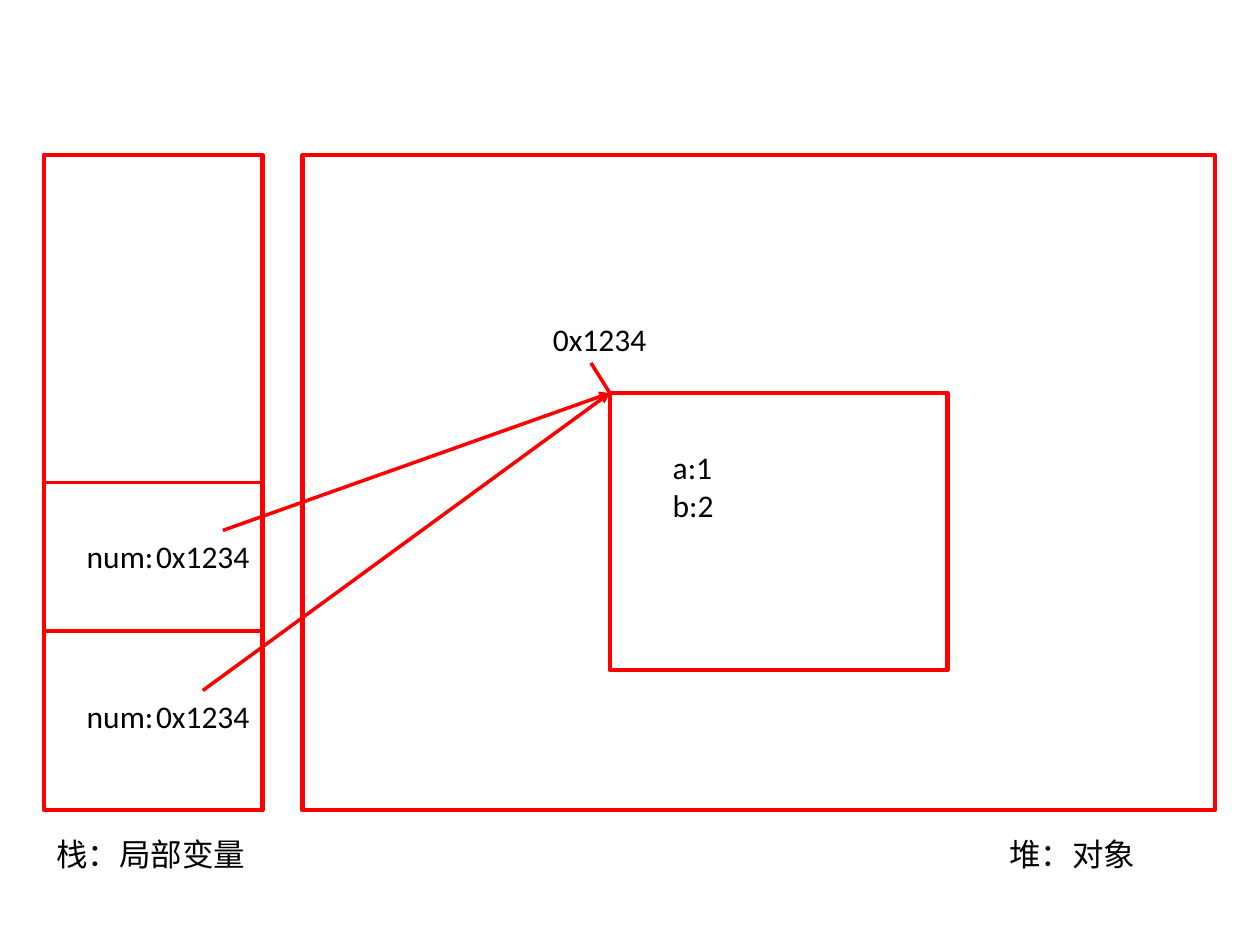
from lxml.etree import SubElement
from pptx import Presentation
from pptx.dml.color import RGBColor
from pptx.enum.shapes import MSO_CONNECTOR, MSO_SHAPE
from pptx.enum.text import MSO_AUTO_SIZE
from pptx.oxml.ns import qn
from pptx.util import Pt

RED = RGBColor(0xFF, 0x00, 0x00)
BLACK = RGBColor(0x00, 0x00, 0x00)

deck = Presentation()
deck.slide_width, deck.slide_height = Pt(720), Pt(540)
page = deck.slides.add_slide(deck.slide_layouts[6])

stack_left, stack_right = 25.2, 150.2
area_top, area_height = 88.6, 374.4
object_left, object_top = 348.5, 224.6
corner = (object_left, object_top)

frames = [
    (stack_left, area_top, 124.8, area_height),
    (172.8, area_top, 521.4, area_height),
    (object_left, object_top, 193, 158.4),
]
for frame in frames:
    box = page.shapes.add_shape(MSO_SHAPE.RECTANGLE, *map(Pt, frame))
    box.shadow.inherit = False
    box.fill.background()
    box.line.color.rgb = RED
    box.line.width = Pt(2.5)

lines = [
    ((stack_left, 275.8), (stack_right, 275.8), False),
    ((stack_left, 360.7), (stack_right, 360.7), False),
    (corner, (337.7, 207.4), False),
    ((127.4, 303.1), corner, True),
    ((115.9, 394.6), corner, True),
]
for start, end, has_arrow in lines:
    line = page.shapes.add_connector(MSO_CONNECTOR.STRAIGHT, *map(Pt, start + end))
    line.line.color.rgb = RED
    line.line.width = Pt(2)
    if has_arrow:
        SubElement(line.line._get_or_add_ln(), qn("a:tailEnd"), type="triangle")
    SubElement(line._element.spPr, qn("a:effectLst"))

labels = [
    ("栈：局部变量", 25.2, 473.8, 161.3, 29.1),
    ("堆：对象", 569.5, 473.8, 118.8, 29.1),
    ("a:1\nb:2", 377.3, 252.7, 130.3, 50.9),
    ("0x1234", 308.9, 179.3, 90.7, 29.1),
]
for top in (303.4, 394.6):
    labels.append(("num:", 42.5, top, 90.7, 29.1))
    labels.append(("0x1234", 82.1, top, 90.7, 29.1))

font_format = {"name": "Calibri", "size": Pt(18)}
for text, *place in labels:
    box = page.shapes.add_textbox(*map(Pt, place))
    box.text_frame.word_wrap = True
    box.text_frame.auto_size = MSO_AUTO_SIZE.SHAPE_TO_FIT_TEXT
    box.text_frame.text = text
    for para in box.text_frame.paragraphs:
        for span in para.runs:
            span.font.color.rgb = BLACK
            for key, value in font_format.items():
                setattr(span.font, key, value)

deck.save("out.pptx")
